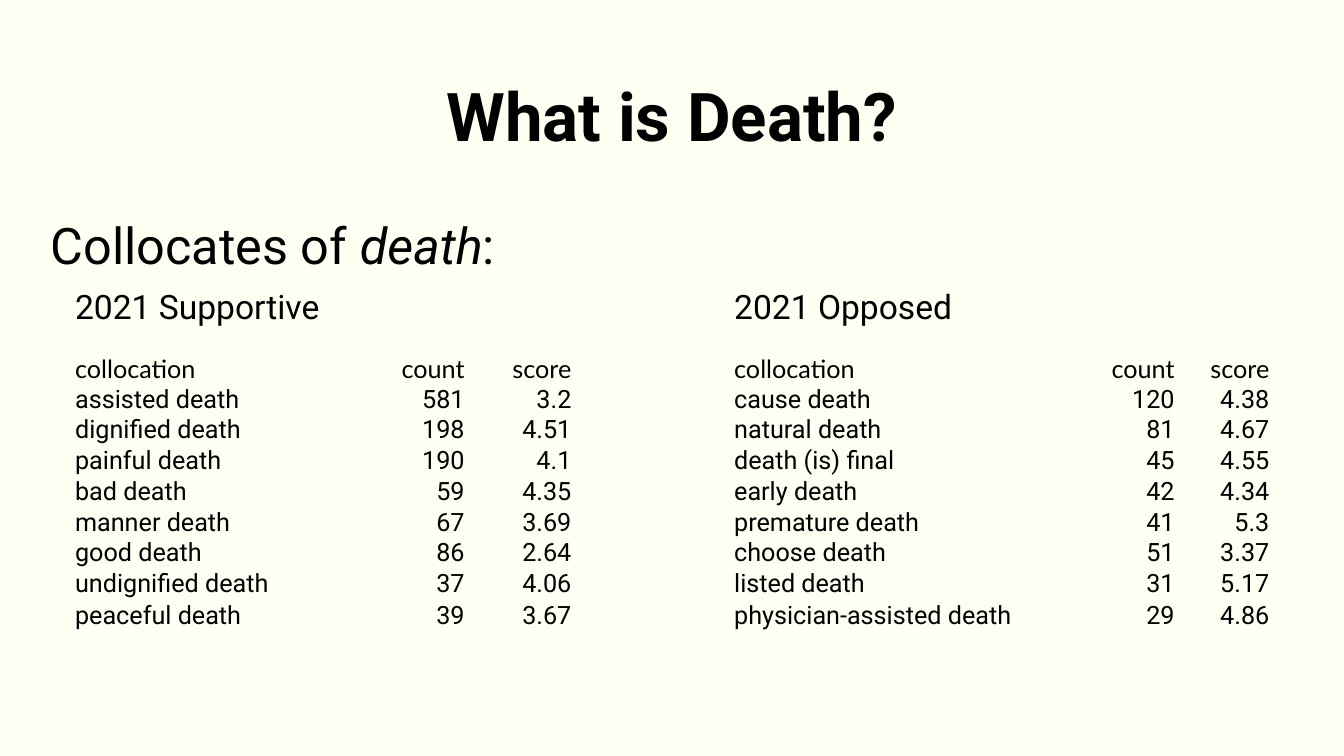
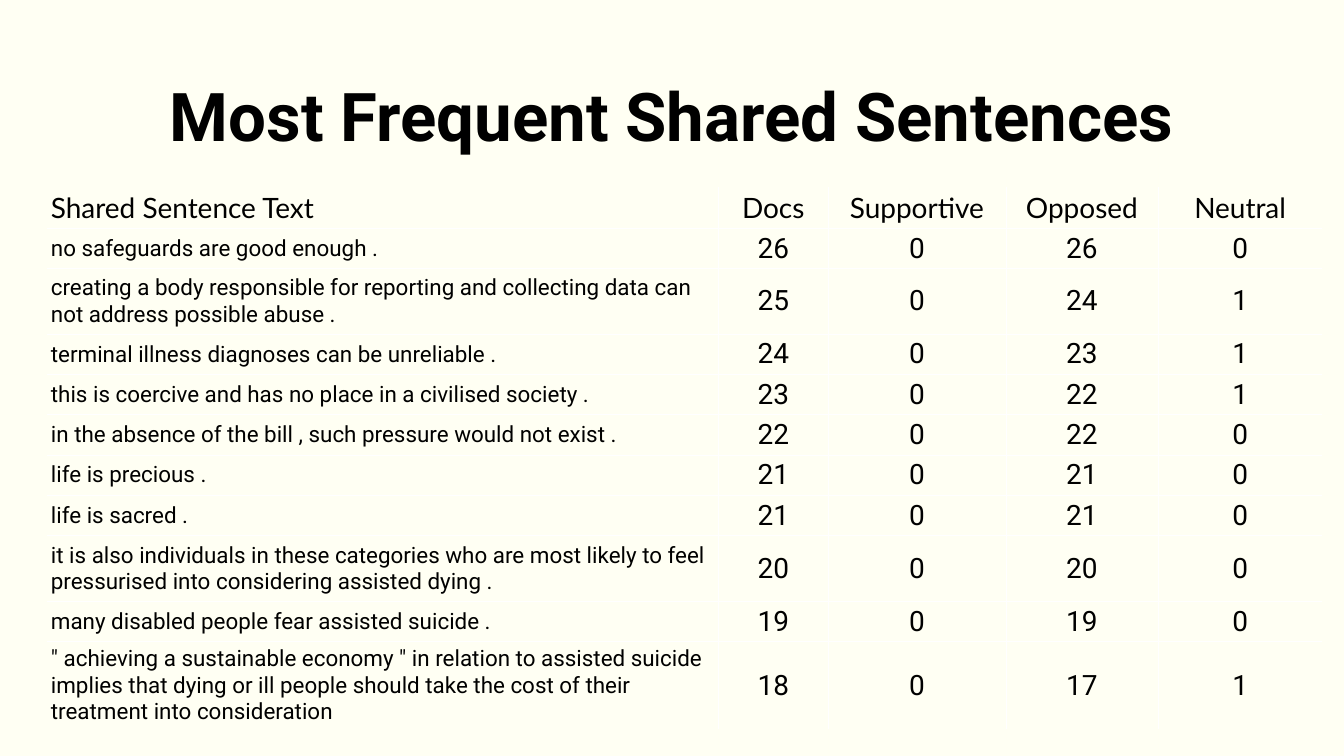
from lxml.etree import SubElement
from pptx import Presentation
from pptx.dml.color import RGBColor
from pptx.enum.text import MSO_ANCHOR as Anchor, MSO_AUTO_SIZE as AutoSize, PP_ALIGN as Align
from pptx.oxml.ns import qn
from pptx.util import Pt

PX = 9144
CREAM = RGBColor(0xFF, 0xFF, 0xF3)
BLACK = RGBColor(0, 0, 0)
WHITE = RGBColor(0xFF, 0xFF, 0xFF)
BODY_FONT, HEADER_FONT = "Roboto", "Lato"
SLIDE_SIZE = (2667, 1500)
MARGIN_LEFT, TEXT_WIDTH, TEXT_INSET = 93, 2480, 8
TITLE_TOP, TITLE_HEIGHT = 138, 177

DEATH_TITLE = "What is Death?"
SUBTITLE = [("Collocates of ", False), ("death", True), (":", False)]
COLLOCATE_HEADER = ("collocation", "count", "score")
COLLOCATES = {
    "2021 Supportive": [
        ("assisted death", "581", "3.2"),
        ("dignified death", "198", "4.51"),
        ("painful death", "190", "4.1"),
        ("bad death", "59", "4.35"),
        ("manner death", "67", "3.69"),
        ("good death", "86", "2.64"),
        ("undignified death", "37", "4.06"),
        ("peaceful death", "39", "3.67"),
    ],
    "2021 Opposed": [
        ("cause death", "120", "4.38"),
        ("natural death", "81", "4.67"),
        ("death (is) final", "45", "4.55"),
        ("early death", "42", "4.34"),
        ("premature death", "41", "5.3"),
        ("choose death", "51", "3.37"),
        ("listed death", "31", "5.17"),
        ("physician-assisted death", "29", "4.86"),
    ],
}
COLLOCATE_COLUMNS = [557, 218, 212, 321, 684, 192, 188]
COLLOCATE_ROWS = [80, 50] + [61] * 8 + [63, 63, 80]
GROUP_STEP = 4

SENTENCE_TITLE = "Most Frequent Shared Sentences"
SENTENCES = [
    ("Shared Sentence Text", "Docs", "Supportive", "Opposed", "Neutral"),
    ("no safeguards are good enough .", "26", "0", "26", "0"),
    ("creating a body responsible for reporting and collecting data can not address possible abuse .",
     "25", "0", "24", "1"),
    ("terminal illness diagnoses can be unreliable .", "24", "0", "23", "1"),
    ("this is coercive and has no place in a civilised society .", "23", "0", "22", "1"),
    ("in the absence of the bill , such pressure would not exist .", "22", "0", "22", "0"),
    ("life is precious .", "21", "0", "21", "0"),
    ("life is sacred .", "21", "0", "21", "0"),
    ("it is also individuals in these categories who are most likely to feel pressurised into "
     "considering assisted dying .", "20", "0", "20", "0"),
    ("many disabled people fear assisted suicide .", "19", "0", "19", "0"),
    ('" achieving a sustainable economy " in relation to assisted suicide implies that dying or ill '
     "people should take the cost of their treatment into consideration", "18", "0", "17", "1"),
]
SENTENCE_COLUMNS = [1333, 217, 353, 302, 326]
SENTENCE_ROWS = [81, 80, 130] + [80] * 5 + [130, 80, 174]


def px(*lengths):
    return [length * PX for length in lengths]


def style_font(font, size, name=BODY_FONT, bold=False, italic=False):
    font.size, font.name, font.bold, font.italic = Pt(size), name, bold, italic
    font.color.rgb = BLACK


def set_insets(target, left, top, right, bottom):
    target.margin_left, target.margin_top, target.margin_right, target.margin_bottom = px(
        left, top, right, bottom)


def add_titled_slide(presentation, text):
    slide = presentation.slides.add_slide(presentation.slide_layouts[5])
    title = slide.shapes.title
    title.left, title.top, title.width, title.height = px(
        MARGIN_LEFT, TITLE_TOP, TEXT_WIDTH, TITLE_HEIGHT)
    frame = title.text_frame
    frame.text = text
    frame.auto_size = AutoSize.NONE
    frame.vertical_anchor = Anchor.BOTTOM
    set_insets(frame, *[TEXT_INSET] * 4)
    paragraph = frame.paragraphs[0]
    paragraph.alignment = Align.CENTER
    paragraph.line_spacing = 1.0
    style_font(paragraph.runs[0].font, 96, bold=True)
    return slide


def add_border(cell, side, visible):
    line = SubElement(cell._tc.get_or_add_tcPr(), qn(f"a:ln{side}"), w=str(Pt(1)))
    if visible:
        fill = SubElement(line, qn("a:solidFill"))
        SubElement(fill, qn("a:srgbClr"), val=str(WHITE))
    else:
        SubElement(line, qn("a:noFill"))


def add_grid(slide, left, top, widths, heights, insets, anchor, framed):
    frame = slide.shapes.add_table(
        len(heights), len(widths), *px(left, top, sum(widths), sum(heights)))
    table = frame.table
    table.first_row = table.horz_banding = False
    for column, width in zip(table.columns, widths):
        column.width = width * PX
    for row, height in zip(table.rows, heights):
        row.height = height * PX
    for r in range(len(heights)):
        for c in range(len(widths)):
            cell = table.cell(r, c)
            inner = {"L": c > 0, "R": c < len(widths) - 1, "T": r > 0, "B": r < len(heights) - 1}
            for side, is_inner in inner.items():
                add_border(cell, side, framed or is_inner)
            cell.fill.background()
            cell.vertical_anchor = anchor
            set_insets(cell, *insets)
    return table


def write_cell(cell, text, size, font_name=BODY_FONT, alignment=Align.LEFT):
    cell.text_frame.text = text
    paragraph = cell.text_frame.paragraphs[0]
    paragraph.alignment = alignment
    style_font(paragraph.runs[0].font, size, font_name)


def add_subtitle(slide):
    box = slide.shapes.add_textbox(*px(MARGIN_LEFT, 417, TEXT_WIDTH, 133))
    frame = box.text_frame
    frame.word_wrap = True
    set_insets(frame, *[TEXT_INSET] * 4)
    for text, italic in SUBTITLE:
        run = frame.paragraphs[0].add_run()
        run.text = text
        style_font(run.font, 72, italic=italic)


def build_death_slide(presentation):
    slide = add_titled_slide(presentation, DEATH_TITLE)
    add_subtitle(slide)
    table = add_grid(slide, 148, 569, COLLOCATE_COLUMNS, COLLOCATE_ROWS,
                     (1, 1, 1, 0), Anchor.BOTTOM, framed=True)
    last_row = len(COLLOCATE_ROWS) - 1
    for group, (heading, collocates) in enumerate(COLLOCATES.items()):
        first = group * GROUP_STEP
        write_cell(table.cell(0, first), heading, 48)
        for r, values in enumerate([COLLOCATE_HEADER] + collocates):
            font_name = BODY_FONT if r else HEADER_FONT
            for c, value in enumerate(values):
                alignment = Align.RIGHT if c else Align.LEFT
                write_cell(table.cell(r + 2, first + c), value, 36, font_name, alignment)
        table.cell(last_row, first).merge(table.cell(last_row, first + 2))


def build_sentence_slide(presentation):
    slide = add_titled_slide(presentation, SENTENCE_TITLE)
    table = add_grid(slide, MARGIN_LEFT, 372, SENTENCE_COLUMNS, SENTENCE_ROWS,
                     (8, 7, 8, 7), Anchor.MIDDLE, framed=False)
    for r, values in enumerate(SENTENCES):
        font_name = BODY_FONT if r else HEADER_FONT
        for c, value in enumerate(values):
            size = 32 if r and not c else 40
            alignment = Align.CENTER if c else Align.LEFT
            write_cell(table.cell(r, c), value, size, font_name, alignment)


def main():
    """Build the two slides on collocates and shared sentences."""
    presentation = Presentation()
    presentation.slide_width, presentation.slide_height = px(*SLIDE_SIZE)
    background = presentation.slide_master.background.fill
    background.solid()
    background.fore_color.rgb = CREAM
    build_death_slide(presentation)
    build_sentence_slide(presentation)
    presentation.save("out.pptx")


if __name__ == "__main__":
    main()
